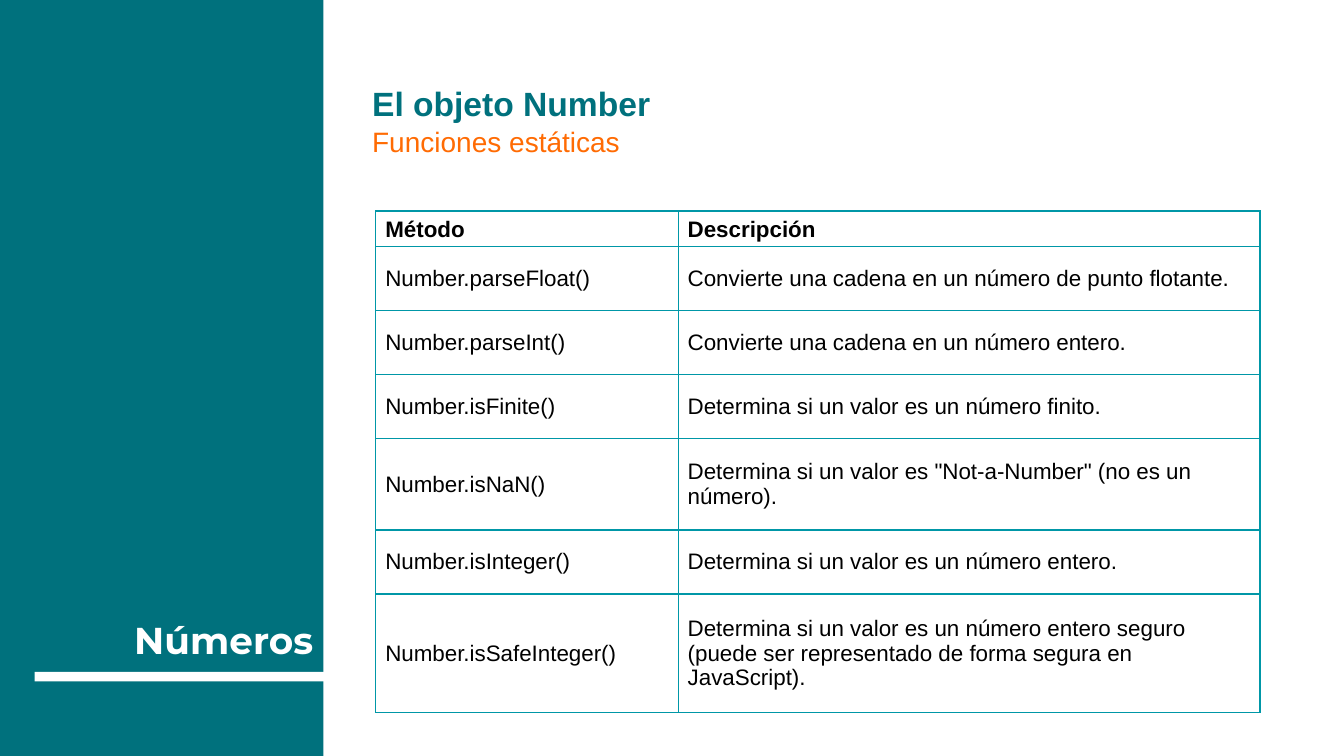
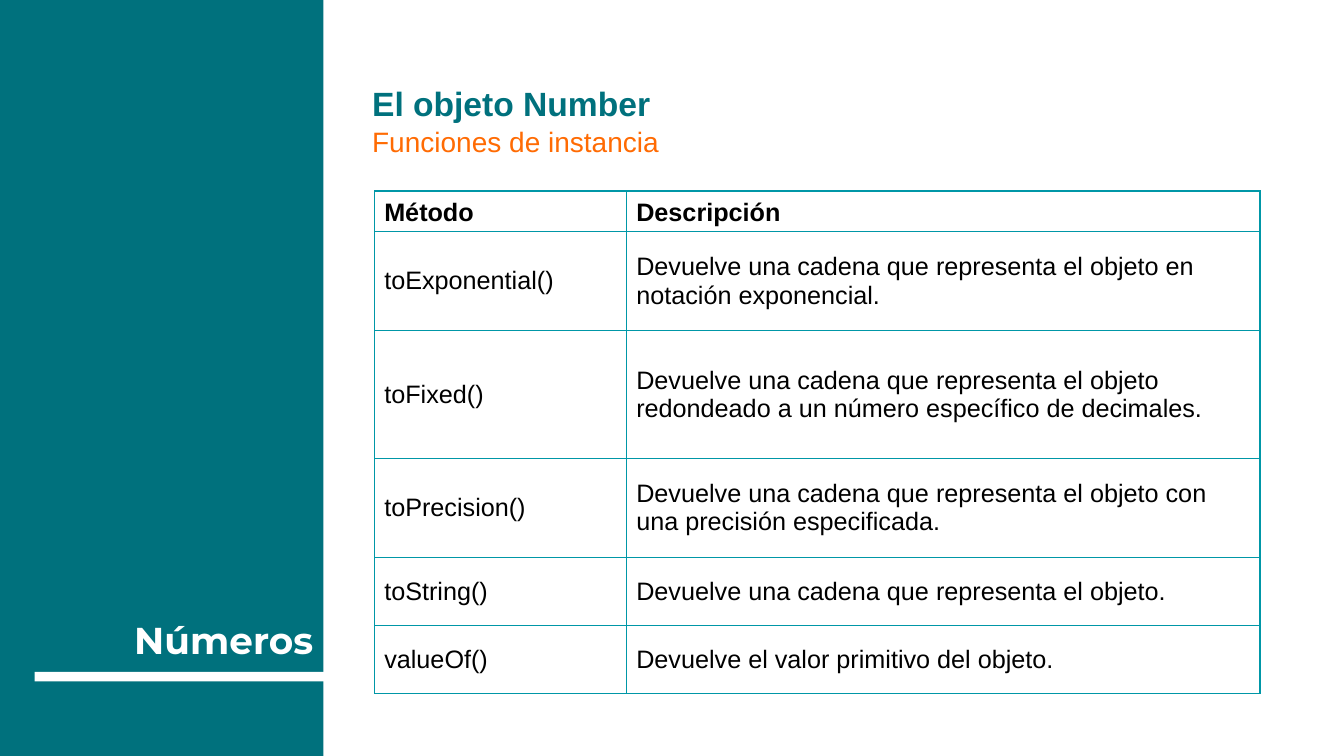
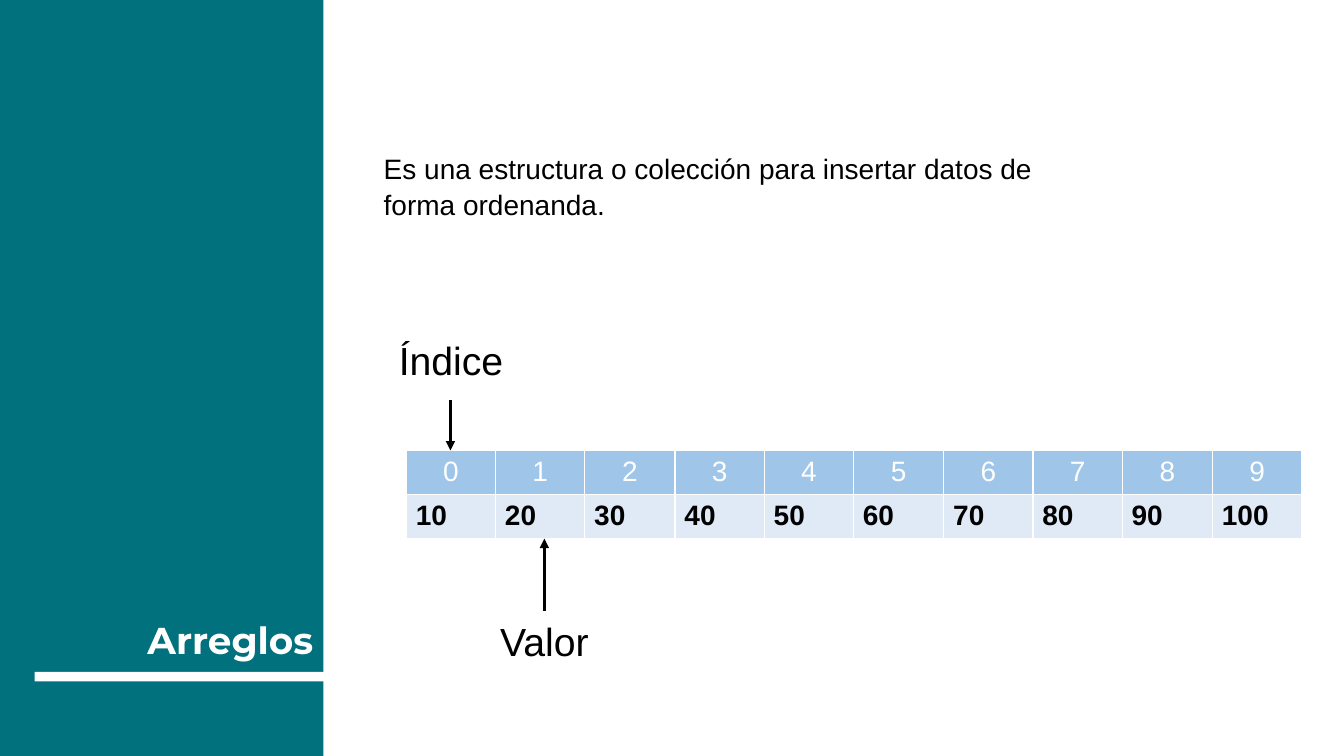
from lxml.etree import SubElement
from pptx import Presentation
from pptx.dml.color import RGBColor as RGB
from pptx.enum.shapes import MSO_CONNECTOR as CONN, MSO_SHAPE as SHAPE
from pptx.enum.text import MSO_ANCHOR as ANCHOR, PP_ALIGN as ALIGN
from pptx.oxml.ns import qn
from pptx.util import Pt

COLORS = {
    "teal": "00717D",
    "orange": "FF6B03",
    "white": "FFFFFF",
    "black": "000000",
    "grid": "0097A7",
    "index": "9FC5E8",
    "value": "DFEAF6",
}
STATIC_METHODS = [
    ("Método", "Descripción"),
    ("Number.parseFloat()", "Convierte una cadena en un número de punto flotante."),
    ("Number.parseInt()", "Convierte una cadena en un número entero."),
    ("Number.isFinite()", "Determina si un valor es un número finito."),
    ("Number.isNaN()", 'Determina si un valor es "Not-a-Number" (no es un número).'),
    ("Number.isInteger()", "Determina si un valor es un número entero."),
    ("Number.isSafeInteger()", "Determina si un valor es un número entero seguro "
     "(puede ser representado de forma segura en JavaScript)."),
]
INSTANCE_METHODS = [
    ("Método", "Descripción"),
    ("toExponential()", "Devuelve una cadena que representa el objeto en notación exponencial."),
    ("toFixed()", "Devuelve una cadena que representa el objeto redondeado a un número "
     "específico de decimales."),
    ("toPrecision()", "Devuelve una cadena que representa el objeto con una precisión especificada."),
    ("toString()", "Devuelve una cadena que representa el objeto."),
    ("valueOf()", "Devuelve el valor primitivo del objeto."),
]


def px(n):
    return n * 9525


def rgb(name):
    return RGB.from_string(COLORS[name])


def write(p, text, size=20, color="black", bold=False, font="Arial",
          align=ALIGN.LEFT, spacing=None):
    p.alignment = align
    if spacing:
        p.line_spacing = spacing
    r = p.add_run()
    r.text = text
    f = r.font
    f.size, f.name, f.bold = Pt(size), font, bold
    f.color.rgb = rgb(color)


class Deck:
    def __init__(self):
        self.prs = Presentation()
        self.prs.slide_width, self.prs.slide_height = px(1280), px(720)

    def slide(self, title, left):
        self.s = self.prs.slides.add_slide(self.prs.slide_layouts[6])
        self.rect(-5, -10, 313, 739, "teal")
        self.rect(33, 640, 292, 9, "white")
        sp = self.box(left, 488, 308 - left, 152, ANCHOR.BOTTOM, 10)
        write(sp.text_frame.paragraphs[0], title, size=26.7, color="white", bold=True,
              font="Montserrat", align=ALIGN.RIGHT)

    def rect(self, x, y, w, h, color):
        sp = self.s.shapes.add_shape(SHAPE.RECTANGLE, px(x), px(y), px(w), px(h))
        sp.shadow.inherit = False
        sp.fill.solid()
        sp.fill.fore_color.rgb = rgb(color)
        sp.line.fill.background()

    def box(self, x, y, w, h, anchor=ANCHOR.TOP, inset=5):
        sp = self.s.shapes.add_textbox(px(x), px(y), px(w), px(h))
        tf = sp.text_frame
        tf.word_wrap = True
        tf.vertical_anchor = anchor
        tf.margin_top = tf.margin_bottom = px(inset)
        return sp

    def heading(self, title, subtitle):
        tf = self.box(345, 72, 711, 81).text_frame
        write(tf.paragraphs[0], title, size=24, color="teal", bold=True, spacing=1.05)
        write(tf.add_paragraph(), subtitle, color="orange", spacing=1.05)

    def body(self, x, y, w, h, text):
        tf = self.box(x, y, w, h).text_frame
        write(tf.paragraphs[0], text, spacing=1.05)

    def label(self, x, y, text):
        sp = self.box(x, y, 147, 56, ANCHOR.MIDDLE)
        write(sp.text_frame.paragraphs[0], text, size=28, align=ALIGN.CENTER)
        return sp

    def arrow(self, x, y1, y2, start=None):
        c = self.s.shapes.add_connector(CONN.STRAIGHT, px(x), px(y1), px(x), px(y2))
        if start is not None:
            c.begin_connect(start, 0)
            c.end_x = c.begin_x
        c.line.width = Pt(2.25)
        c.line.color.rgb = rgb("black")
        SubElement(c.line._get_or_add_ln(), qn("a:tailEnd"), type="triangle")
        SubElement(c._element.spPr, qn("a:effectLst"))

    def border(self, cell, color):
        pr = cell._tc.get_or_add_tcPr()
        for i, side in enumerate(("lnL", "lnR", "lnT", "lnB")):
            ln = pr.makeelement(qn("a:" + side), {"w": str(Pt(1))})
            fill = SubElement(ln, qn("a:solidFill"))
            SubElement(fill, qn("a:srgbClr"), val=COLORS[color])
            pr.insert(i, ln)

    def table(self, x, y, cols, heights, rows, styles, border, inset=(9, 5)):
        tb = self.s.shapes.add_table(len(rows), len(cols), px(x), px(y),
                                     px(sum(cols)), px(sum(heights))).table
        tb.first_row = tb.horz_banding = False
        for col, w in zip(tb.columns, cols):
            col.width = px(w)
        for i, (row, h, texts) in enumerate(zip(tb.rows, heights, rows)):
            row.height = px(h)
            fill, anchor, fmt = styles[min(i, 1)]
            for cell, text in zip(row.cells, texts):
                cell.margin_left = cell.margin_right = px(inset[0])
                cell.margin_top = cell.margin_bottom = px(inset[1])
                cell.vertical_anchor = anchor
                if fill:
                    cell.fill.solid()
                    cell.fill.fore_color.rgb = rgb(fill)
                else:
                    cell.fill.background()
                self.border(cell, border)
                write(cell.text_frame.paragraphs[0], text, **fmt)

    def methods(self, x, y, cols, heights, rows, size, inset):
        styles = [(None, ANCHOR.BOTTOM, {"size": size, "bold": True}),
                  (None, ANCHOR.MIDDLE, {"size": size})]
        self.table(x, y, cols, heights, rows, styles, "grid", inset)


def main():
    d = Deck()

    d.slide("Números", 65)
    d.heading("El objeto Number", "Funciones estáticas")
    d.methods(358, 201, [288, 554], [34, 61, 61, 61, 87, 61, 113],
              STATIC_METHODS, 16, (9, 4))

    d.slide("Números", 65)
    d.heading("El objeto Number", "Funciones de instancia")
    d.methods(357, 182, [240, 603], [38, 94, 122, 94, 65, 65],
              INSTANCE_METHODS, 18, (9, 5))

    d.slide("Arreglos", 40)
    d.body(356, 138, 639, 74,
           "Es una estructura o colección para insertar datos de forma ordenanda.")
    rows = [[str(i) for i in range(10)], [str(10 * i) for i in range(1, 11)]]
    styles = [("index", ANCHOR.TOP, {"color": "white", "align": ALIGN.CENTER}),
              ("value", ANCHOR.TOP, {"bold": True})]
    d.table(387, 429, [85, 85, 86] * 3 + [85], [42, 42], rows, styles, "white")
    d.label(356, 315, "Índice")
    d.arrow(429, 381, 429)
    value = d.label(445, 582, "Valor")
    d.arrow(519, 582, 513, value)

    d.prs.save("out.pptx")


if __name__ == "__main__":
    main()
